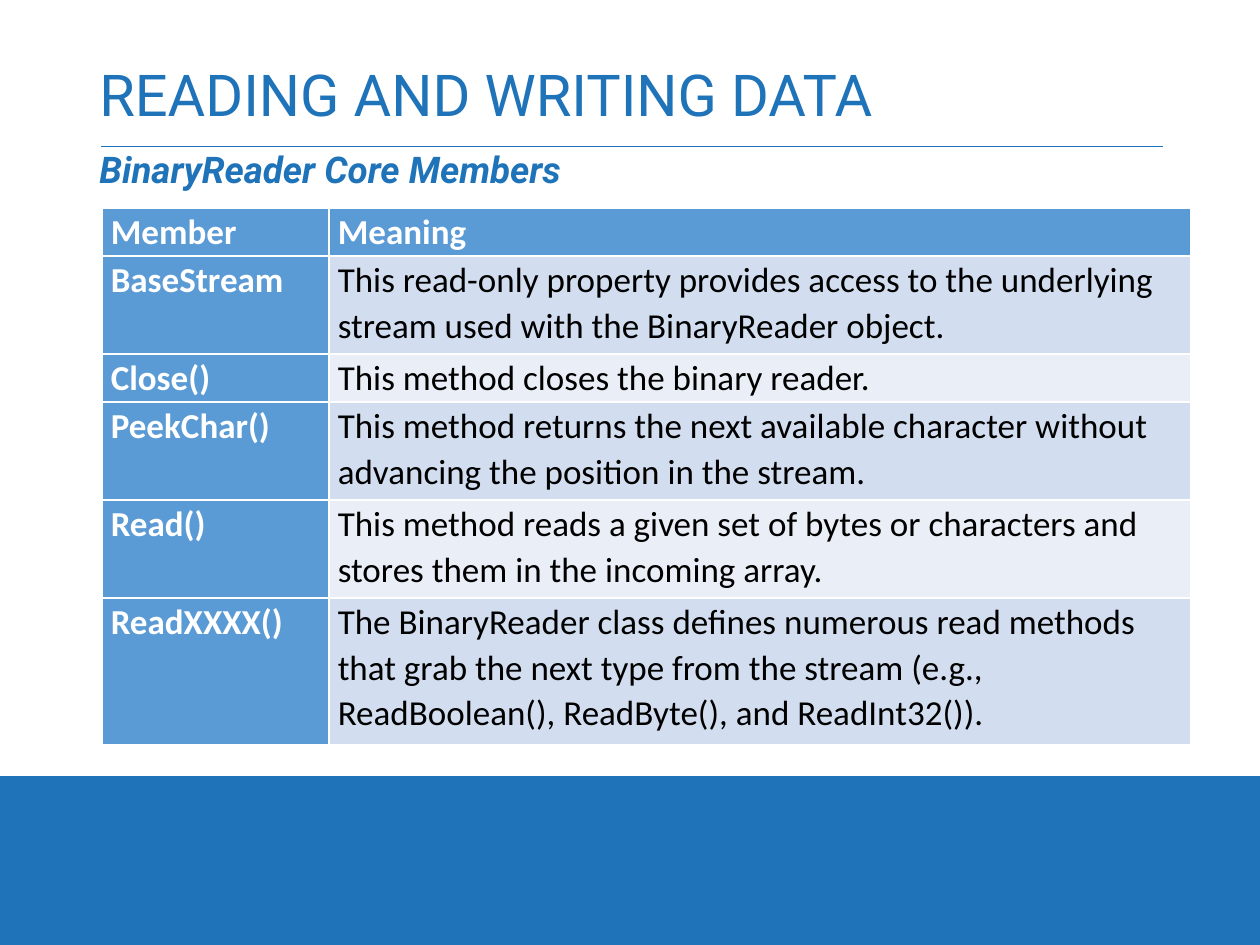
from lxml import etree
from pptx import Presentation
from pptx import util as u
from pptx.dml.color import RGBColor
from pptx.enum import shapes, text
from pptx.oxml.ns import qn

SCALE = 914400 / 126
COLORS = {
    "blue": "1E73B9",
    "white": "FFFFFF",
    "black": "000000",
    "head": "5B9BD5",
    "dark": "D2DEEF",
    "light": "EAEFF7",
}
COLS = [227, 862]
ROWS = [
    (48, "Member", "Meaning"),
    (98, "BaseStream", "This read-only property provides access to the underlying "
         "stream used with the BinaryReader object."),
    (48, "Close()", "This method closes the binary reader."),
    (98, "PeekChar()", "This method returns the next available character without "
         "advancing the position in the stream."),
    (98, "Read()", "This method reads a given set of bytes or characters and "
         "stores them in the incoming array."),
    (147, "ReadXXXX()", "The BinaryReader class defines numerous read methods "
          "that grab the next type from the stream (e.g., ReadBoolean(), "
          "ReadByte(), and ReadInt32())."),
]


def px(n):
    """Turn pixels into EMU."""
    return u.Emu(round(n * SCALE))


def rgb(name):
    """Look up a colour."""
    return RGBColor.from_string(COLORS[name])


def write(frame, words, size, color, font, bold=False, italic=False,
          line=0.9, before=0):
    """Put one formatted paragraph into a text frame."""
    para = frame.paragraphs[0]
    para.line_spacing = line
    para.space_before = u.Pt(before)
    run = para.add_run()
    run.text = words
    run.font.size = u.Pt(size)
    run.font.name = font
    run.font.bold = bold
    run.font.italic = italic
    run.font.color.rgb = rgb(color)


def label(slide, box, words, anchor, **style):
    """Add a wrapped text box."""
    frame = slide.shapes.add_textbox(*map(px, box)).text_frame
    frame.word_wrap = True
    frame.vertical_anchor = anchor
    write(frame, words, color="blue", font="Roboto", **style)


def panel(slide, box, color):
    """Add a plain filled rectangle."""
    rect = slide.shapes.add_shape(shapes.MSO_SHAPE.RECTANGLE, *map(px, box))
    rect.shadow.inherit = False
    rect.fill.solid()
    rect.fill.fore_color.rgb = rgb(color)
    rect.line.fill.background()


def rule(slide, ends, color, width):
    """Add a straight line without a shadow."""
    line = slide.shapes.add_connector(shapes.MSO_CONNECTOR.STRAIGHT,
                                      *map(px, ends))
    line.line.color.rgb = rgb(color)
    line.line.width = u.Pt(width)
    etree.SubElement(line.element.spPr, qn("a:effectLst"))


def grid(slide, left, top):
    """Add the table of members; its default style draws the white borders."""
    heights = [row[0] for row in ROWS]
    table = slide.shapes.add_table(len(ROWS), len(COLS), px(left), px(top),
                                   px(sum(COLS)), px(sum(heights))).table
    table.first_col = True
    for col, width in zip(table.columns, COLS):
        col.width = px(width)
    for r, (height, *words) in enumerate(ROWS):
        table.rows[r].height = px(height)
        for c, word in enumerate(words):
            cell = table.cell(r, c)
            head = r == 0 or c == 0
            cell.margin_left = cell.margin_right = u.Inches(0.07)
            cell.margin_top = cell.margin_bottom = 0
            cell.fill.solid()
            cell.fill.fore_color.rgb = rgb(
                "head" if head else "dark" if r % 2 else "light")
            write(cell.text_frame, word, 20, "white" if head else "black",
                  "Calibri", bold=head, line=1.07)


def main():
    """Build the slide and save it."""
    deck = Presentation()
    deck.slide_width, deck.slide_height = px(1260), px(945)
    slide = deck.slides.add_slide(deck.slide_layouts[6])
    back = slide.background.fill
    back.solid()
    back.fore_color.rgb = rgb("blue")
    panel(slide, (0, 0, 1260, 776), "white")
    rule(slide, (101, 146, 1163, 146), "blue", 0.5)
    label(slide, (87, 50, 1086, 96), "READING AND WRITING DATA",
          text.MSO_ANCHOR.MIDDLE, size=33)
    label(slide, (87, 146, 1086, 599), "BinaryReader Core Members",
          text.MSO_ANCHOR.TOP, size=21, bold=True, italic=True, before=7.5)
    grid(slide, 102, 208)
    deck.save("out.pptx")


main()
